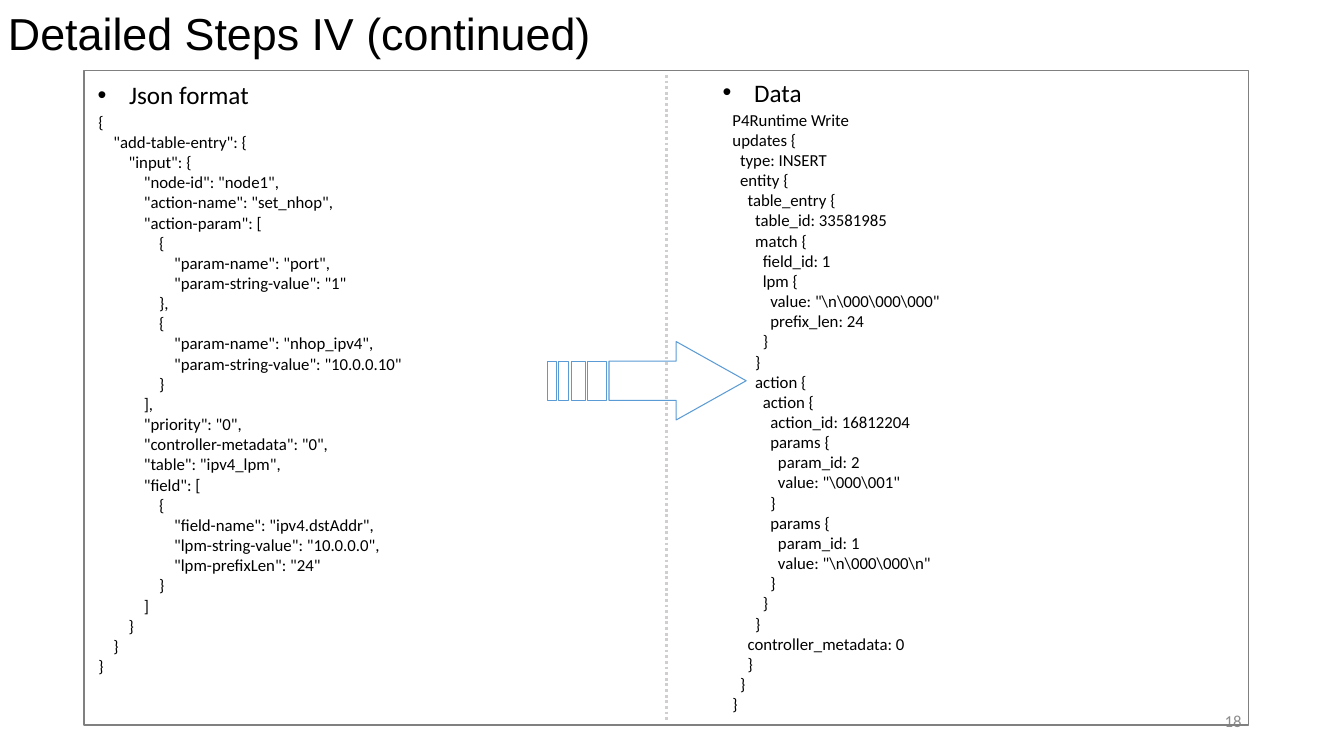
from lxml.etree import SubElement
from pptx import Presentation
from pptx.dml.color import RGBColor
from pptx.enum.dml import MSO_LINE as Dash
from pptx.enum.shapes import MSO_CONNECTOR as Conn, MSO_SHAPE as Shape
from pptx.enum.text import MSO_ANCHOR as Anchor, MSO_AUTO_SIZE as Auto, PP_ALIGN as Align
from pptx.oxml.ns import qn
from pptx.util import Pt

TITLE = "Detailed Steps IV (continued)"
NUMBER = "18"

JSON = r"""{
    "add-table-entry": {
        "input": {
            "node-id": "node1",
            "action-name": "set_nhop",
            "action-param": [
                {
                    "param-name": "port",
                    "param-string-value": "1"
                },
                {
                    "param-name": "nhop_ipv4",
                    "param-string-value": "10.0.0.10"
                }
            ],
            "priority": "0",
            "controller-metadata": "0",
            "table": "ipv4_lpm",
            "field": [
                {
                    "field-name": "ipv4.dstAddr",
                    "lpm-string-value": "10.0.0.0",
                    "lpm-prefixLen": "24"
                }
            ]
        }
    }
}"""

DATA = r"""P4Runtime Write
updates {
  type: INSERT
  entity {
    table_entry {
      table_id: 33581985
      match {
        field_id: 1
        lpm {
          value: "\n\000\000\000"
          prefix_len: 24
        }
      }
      action {
        action {
          action_id: 16812204
          params {
            param_id: 2
            value: "\000\001"
          }
          params {
            param_id: 1
            value: "\n\000\000\n"
          }
        }
      }
    controller_metadata: 0
    }
  }
}"""

# Heading, heading box, code, code box
PANELS = [
    ("Json format", (62.5, 53, 130, 29), JSON, (63, 76, 248, 414)),
    ("Data", (509, 51.5, 80, 29), DATA, (516, 74.5, 269, 443.5)),
]
FRAME = (60, 50.5, 832, 467.5)
SPACE = 2.71  # width of one space in the 12 pt code font
HANG = 22.5

# Arrow: left and right edge of each stripe, then the head
STRIPES = [(391, 397.5), (399, 406), (408, 418.5), (420, 433.5)]
TAIL, NECK, TIP = 435, 483, 533
HIGH, TOP, MID, BASE, LOW = 244, 258, 272, 286, 300


def color(code):
    """Turn a hex string into a colour."""
    return RGBColor.from_string(code)


def place(shape, box):
    """Move and size a shape, in points."""
    shape.left, shape.top, shape.width, shape.height = map(Pt, box)


def setup(shape, box, anchor=Anchor.TOP):
    """Place a text shape and return its text frame."""
    place(shape, box)
    frame = shape.text_frame
    frame.auto_size = Auto.NONE
    frame.word_wrap = True
    frame.vertical_anchor = anchor
    return frame


def write(para, text, size, font="Calibri", tint="000000", align=Align.LEFT):
    """Fill a paragraph with one formatted run."""
    para.alignment = align
    para.space_before = para.space_after = Pt(0)
    run = para.add_run()
    run.text = text
    run.font.name, run.font.size, run.font.bold = font, Pt(size), False
    run.font.color.rgb = color(tint)


def indent(para, left, hang=0, mark=None):
    """Set the indent and the bullet, if any, of a paragraph."""
    props = para._p.get_or_add_pPr()
    props.set("marL", str(Pt(left)))
    props.set("indent", str(-Pt(hang)))
    if mark:
        SubElement(props, qn("a:buFont"), typeface="Arial")
        SubElement(props, qn("a:buChar"), char=mark)
    else:
        SubElement(props, qn("a:buNone"))


def listing(frame, code):
    """Write code lines, with leading spaces turned into indents."""
    for i, line in enumerate(code.splitlines()):
        para = frame.add_paragraph() if i else frame.paragraphs[0]
        text = line.lstrip()
        write(para, text, 12)
        indent(para, SPACE * (len(line) - len(text)))


def outline(shape, tint, width):
    """Give a shape a plain line, no fill and no shadow."""
    shape.shadow.inherit = False
    shape.fill.background()
    shape.line.color.rgb = color(tint)
    shape.line.width = Pt(width)


def arrow(shapes):
    """Draw the striped arrow as one outline shape."""
    paths = [[(a, TOP), (b, TOP), (b, BASE), (a, BASE)] for a, b in STRIPES]
    paths.append([(TAIL, TOP), (NECK, TOP), (NECK, HIGH), (TIP, MID),
                  (NECK, LOW), (NECK, BASE), (TAIL, BASE)])
    paths = [[(Pt(x), Pt(y)) for x, y in path] for path in paths]
    pen = shapes.build_freeform(*paths[0][0])
    for i, path in enumerate(paths):
        if i:
            pen.move_to(*path[0])
        pen.add_line_segments(path[1:], close=True)
    outline(pen.convert_to_shape(), "5B9BD5", 0.75)


def divide(shapes, x, top, end):
    """Draw the dotted line between the panels."""
    line = shapes.add_connector(Conn.STRAIGHT, Pt(x), Pt(top), Pt(x), Pt(end))
    line.line.color.rgb = color("D0CECE")
    line.line.width = Pt(2)
    line.line.dash_style = Dash.ROUND_DOT
    SubElement(line._element.spPr, qn("a:effectLst"))


deck = Presentation()
deck.slide_width, deck.slide_height = Pt(960), Pt(540)
slide = deck.slides.add_slide(deck.slide_layouts.get_by_name("Comparison"))
shapes = slide.shapes
title, *slots = slide.placeholders

write(setup(title, (-1.5, 0.5, 536.5, 46)).paragraphs[0], TITLE, 32, "Arial")
for (name, spot, code, box), head, body in zip(PANELS, slots[::2], slots[1::2]):
    para = setup(head, spot).paragraphs[0]
    write(para, name, 18)
    indent(para, HANG, HANG, "•")
    listing(setup(body, box), code)

note = setup(shapes.add_textbox(0, 0, 0, 0), (678, 500.5, 216, 29), Anchor.MIDDLE)
write(note.paragraphs[0], NUMBER, 12, tint="8C8C8C", align=Align.RIGHT)
divide(shapes, FRAME[0] + FRAME[2] / 2, 53.5, 515.5)
arrow(shapes)
border = shapes.add_shape(Shape.RECTANGLE, 0, 0, 0, 0)
place(border, FRAME)
outline(border, "808080", 1)

deck.save("out.pptx")
